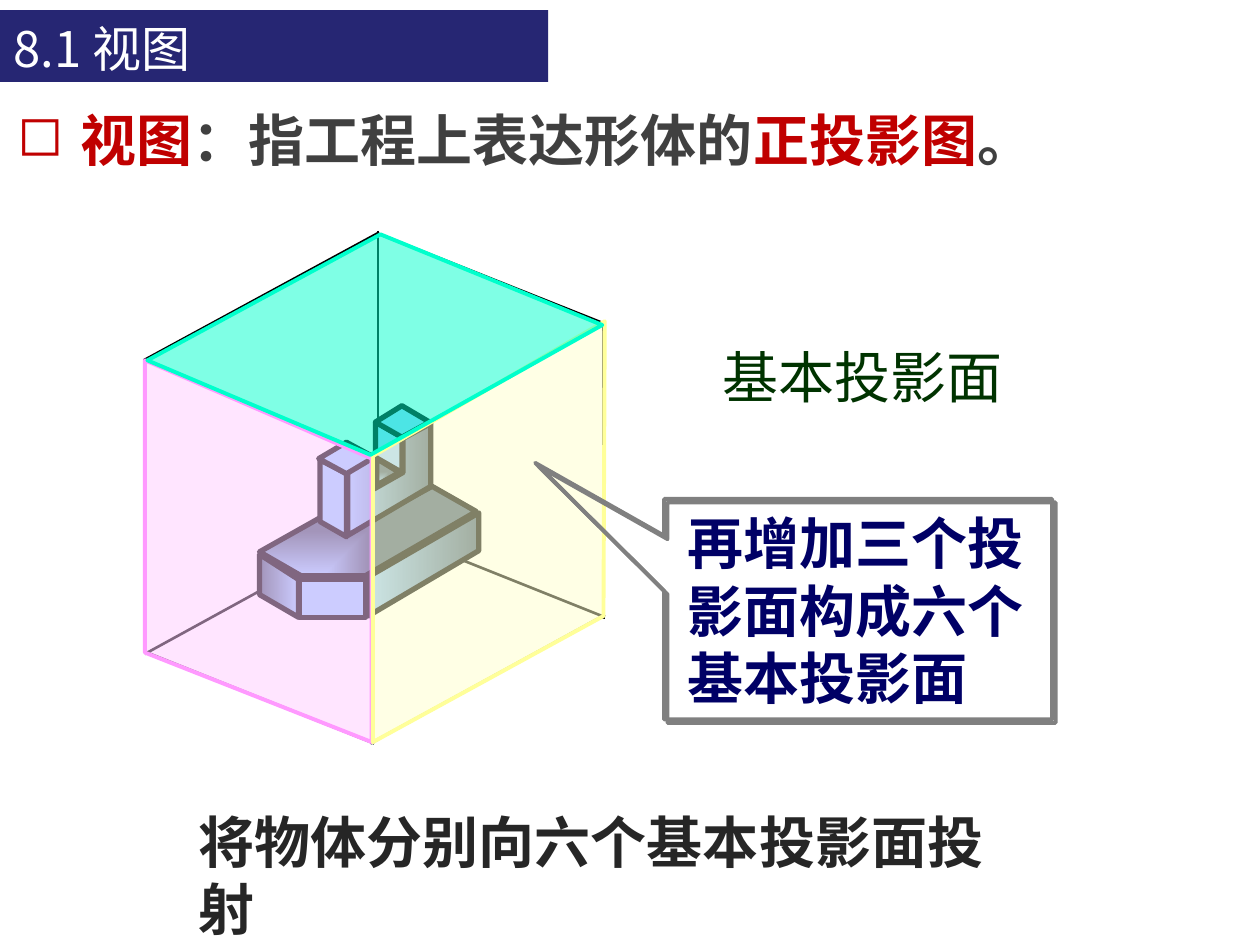
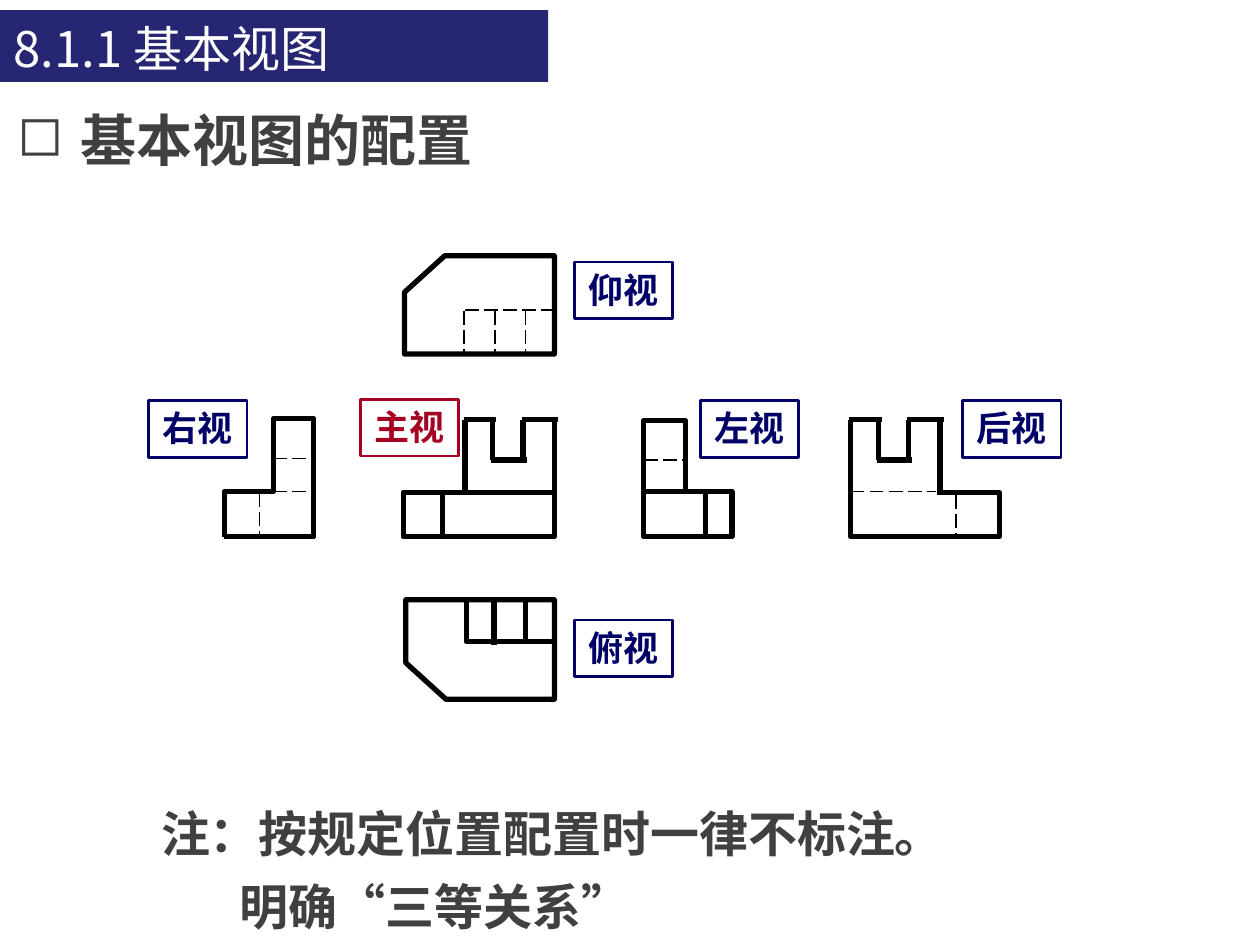
"""Builds two slides on the basic orthographic views of a solid."""
from lxml import etree
from pptx import Presentation
from pptx import util as u
from pptx.dml.color import RGBColor
from pptx.enum import dml, shapes, text
from pptx.oxml.ns import qn

FACE = "Noto Sans CJK SC"
NAVY, BAND, RED, GRAY = "000066", "262673", "C00000", "404040"
BLACK, WHITE, LIGHT, DARK = "000000", "FFFFFF", "99CCFF", "475E76"

HEADS = [
    ("8.1 视图", [("视图", RED), ("：指工程上表达形体的", GRAY),
                ("正投影图", RED), ("。", GRAY)]),
    ("8.1.1 基本视图", [("基本视图的配置", GRAY)]),
]

EDGES = [
    [(1.14, 2.86), (3, 1.85)], [(3, 1.83), (3, 4.18)],
    [(4.8, 2.57), (2.99, 1.85)], [(1.16, 5.2), (1.16, 2.84)],
    [(1.15, 5.19), (3.01, 4.17)], [(4.78, 4.89), (2.98, 4.17)],
    [(2.97, 5.9), (1.17, 5.18)], [(4.79, 2.56), (4.79, 4.91)],
    [(2.94, 5.9), (4.8, 4.88)],
]

SOLID = [
    ("corner", [(3.43, 3.86), (3.78, 4.06), (2.9, 4.57), (2.39, 4.57),
                (2.06, 4.38), (2.54, 4.11), (2.75, 4.23), (3.43, 3.86)]),
    ("right", [(3.8, 4.37), (3.8, 4.07), (2.92, 4.58), (2.92, 4.89),
               (3.8, 4.37)]),
    ("flat", (2.38, 4.6, 0.52, 0.3)),
    ("left", [(2.06, 4.4), (2.06, 4.72), (2.37, 4.9), (2.37, 4.6),
              (2.06, 4.4)]),
    ("right", [(3.42, 3.36), (3.42, 3.86), (2.76, 4.25), (2.76, 3.74),
               (2.97, 3.62), (2.97, 3.88), (3.2, 3.75), (3.2, 3.48),
               (3.42, 3.36)]),
    ("flat", [(2.98, 3.35), (3.19, 3.47), (3.19, 3.75), (2.98, 3.63),
              (2.98, 3.35)]),
    ("flat", [(2.75, 3.76), (2.75, 4.26), (2.54, 4.14), (2.54, 3.65),
              (2.75, 3.76)]),
    ("flat", [(2.53, 3.64), (2.75, 3.76), (2.97, 3.63), (2.75, 3.51),
              (2.53, 3.64)]),
    ("flat", [(2.98, 3.35), (3.19, 3.47), (3.41, 3.35), (3.19, 3.22),
              (2.98, 3.35)]),
    ("corner", [(2.99, 3.64), (3.17, 3.75), (2.99, 3.85), (2.99, 3.64)]),
]

PANES = [
    ("FFCCFF", "FF99FF", [(1.15, 2.86), (2.95, 3.64), (2.95, 5.89),
                          (1.15, 5.18), (1.15, 2.86)]),
    ("FFFFCC", "FFFF99", [(2.96, 3.62), (2.96, 5.89), (4.79, 4.89),
                          (4.8, 2.55), (2.96, 3.62)]),
    ("00FFCC", "00FFCC", [(3.02, 1.86), (1.17, 2.86), (2.94, 3.61),
                          (4.78, 2.58), (3.02, 1.86)]),
]


def notch(x):
    """Gives the seven strokes of the slotted upright whose left edge is x."""
    cuts = [(0, 3.92, 0, 3.33), (-0.01, 3.33, 0.25, 3.33),
            (0.22, 3.34, 0.22, 3.65), (0.21, 3.65, 0.49, 3.65),
            (0.46, 3.65, 0.46, 3.33), (0.45, 3.33, 0.74, 3.33),
            (0.71, 3.33, 0.71, 3.92)]
    return [[(x + a, b), (x + c, d)] for a, b, c, d in cuts]


VIEWS = [
    {"name": "俯视", "at": (4.56, 4.92), "dash": [], "full": [
        [(3.22, 4.76), (4.4, 4.76), (4.4, 5.55), (3.54, 5.55), (3.22, 5.26),
         (3.22, 4.76)],
        [(3.7, 4.77), (3.7, 5.09), (4.4, 5.09)],
        [(3.92, 4.78), (3.92, 5.12)], [(4.17, 4.77), (4.17, 5.09)]]},
    {"name": "右视", "at": (1.18, 3.18), "full": [
        [(1.78, 4.26), (1.78, 3.9), (2.17, 3.9), (2.17, 3.32), (2.49, 3.32),
         (2.49, 4.27)],
        [(1.78, 4.26), (2.5, 4.26)]],
     "dash": [[(2.17, 3.9), (2.49, 3.9)], [(2.17, 3.64), (2.49, 3.64)],
              [(2.06, 3.91), (2.06, 4.28)]]},
    {"name": "仰视", "at": (4.56, 2.08), "full": [
        [(3.21, 2.81), (4.4, 2.81), (4.4, 2.03), (3.53, 2.03), (3.21, 2.32),
         (3.21, 2.81)]],
     "dash": [[(x, 2.47), (x, 2.8)] for x in (3.93, 4.17, 3.68)]
     + [[(3.69, 2.46), (4.41, 2.46)]]},
    {"name": "左视", "at": (5.56, 3.18), "full": [
        (5.11, 3.9, 0.7, 0.36),
        [(5.11, 3.89), (5.11, 3.34), (5.44, 3.34), (5.44, 3.91)],
        [(5.6, 3.9), (5.6, 4.26)]],
     "dash": [[(5.11, 3.65), (5.46, 3.65)]]},
    {"name": "主视", "at": (2.86, 3.17), "hue": "A50021", "dash": [], "full": [
        (3.2, 3.91, 1.2, 0.35), [(3.51, 3.9), (3.51, 4.25)]] + notch(3.69)},
    {"name": "后视", "at": (7.64, 3.18), "full": [
        [(6.75, 3.91), (6.75, 4.26), (7.93, 4.26), (7.93, 3.91),
         (7.44, 3.91)]] + notch(6.75),
     "dash": [[(7.59, 3.93), (7.59, 4.28)], [(6.75, 3.9), (7.43, 3.9)]]},
]


def rgb(hue):
    """Turns a hex string into a colour."""
    return RGBColor.from_string(hue)


def box(at):
    """Turns inches into lengths."""
    return [u.Inches(v) for v in at]


def node(root, tag, **keys):
    """Appends one drawing element."""
    return etree.SubElement(root, qn(tag), {k: str(v) for k, v in keys.items()})


def paint(shape, fill, alpha=None):
    """Fills a shape: none, plain, see-through or shaded."""
    if fill is None:
        shape.fill.background()
    elif fill in ("left", "right", "corner"):
        shape.fill.gradient()
        hues = (DARK, LIGHT) if fill == "left" else (LIGHT, DARK)
        for stop, hue in zip(shape.fill.gradient_stops, hues):
            stop.color.rgb = rgb(hue)
        shape.fill.gradient_angle = 0
        if fill == "corner":
            grad = shape._element.spPr.find(qn("a:gradFill"))
            grad.remove(grad.find(qn("a:lin")))
            node(node(grad, "a:path", path="rect"), "a:fillToRect",
                 l=0, t=100000, r=100000, b=0)
    else:
        shape.fill.solid()
        shape.fill.fore_color.rgb = rgb(LIGHT if fill == "flat" else fill)
        if alpha:
            tint = shape._element.spPr.find(qn("a:solidFill"))[0]
            node(tint, "a:alpha", val=alpha * 1000)


def draw(tree, path, width, hue=BLACK, fill=None, alpha=None, dash=False):
    """Draws a rectangle, a straight line or an outline."""
    if isinstance(path, tuple):
        item = tree.add_shape(shapes.MSO_SHAPE.RECTANGLE, *box(path))
    elif len(path) == 2:
        item = tree.add_connector(shapes.MSO_CONNECTOR.STRAIGHT,
                                  *box(path[0] + path[1]))
    else:
        pts = [(x * 100, y * 100) for x, y in path]
        shut = path[0] == path[-1]
        pen = tree.build_freeform(*pts[0], scale=u.Inches(0.01))
        pen.add_line_segments(pts[1:-1] if shut else pts[1:], close=shut)
        item = pen.convert_to_shape()
    item.line.color.rgb = rgb(hue)
    item.line.width = u.Pt(width)
    if dash:
        item.line.dash_style = dml.MSO_LINE.LONG_DASH
    if isinstance(path, list) and len(path) == 2:
        node(item._element.spPr, "a:effectLst")
    else:
        item.shadow.inherit = False
        paint(item, fill, alpha)
    return item


def write(frame, lines, size, bold=True, wrap=True, grow=False, align=None,
          anchor=text.MSO_ANCHOR.TOP):
    """Sets lines of (words, hue) spans in a frame."""
    frame.word_wrap = wrap
    frame.vertical_anchor = anchor
    if grow:
        frame.auto_size = text.MSO_AUTO_SIZE.SHAPE_TO_FIT_TEXT
    for i, spans in enumerate(lines):
        para = frame.add_paragraph() if i else frame.paragraphs[0]
        para.alignment = align
        para.font.name, para.font.size = FACE, u.Pt(size)
        para.font.bold = bold
        para.font.color.rgb = rgb(spans[0][1])
        node(para._p.pPr.find(qn("a:defRPr")), "a:ea", typeface=FACE)
        for words, hue in spans:
            run = para.add_run()
            run.text = words
            if len(spans) > 1:
                run.font.color.rgb = rgb(hue)
    return frame.paragraphs


def label(slide, at, lines, size, **keys):
    """Adds a text box."""
    return write(slide.shapes.add_textbox(*box(at)).text_frame, lines, size,
                 **keys)


def start(deck, title, lead):
    """Adds a slide with its title band and bulleted lead."""
    slide = deck.slides.add_slide(deck.slide_layouts[6])
    band = draw(slide.shapes, (0, 0.08, 4.35, 0.57), 1, fill=BAND)
    band.line.fill.background()
    label(slide, (0.01, 0.08, 4.33, 0.58), [[(title, WHITE)]], 28, bold=False,
          anchor=text.MSO_ANCHOR.BOTTOM)
    para = label(slide, (0.04, 0.79, 9.5, 0.67), [lead], 32)[0]
    para.space_before = u.Pt(6.4)
    props = para._p.pPr
    props.set("marL", str(u.Inches(0.5)))
    props.set("indent", str(u.Inches(-0.5)))
    props.find(qn("a:defRPr")).addprevious(node(props, "a:buChar", char="◻"))
    return slide


def cube(slide):
    """Draws the solid inside its glass box, with the callout."""
    tree = slide.shapes
    frame = tree.add_group_shape().shapes
    for edge in EDGES:
        draw(frame, edge, 1.5)
    body = tree.add_group_shape().shapes
    for fill, path in SOLID:
        draw(body, path, 3, fill=fill)
    for fill, hue, path in PANES:
        draw(tree, path, 2.25, hue, fill, 50)
    call = tree.add_shape(shapes.MSO_SHAPE.RECTANGULAR_CALLOUT,
                          *box((5.27, 3.96, 3.08, 1.75)))
    call.adjustments[0], call.adjustments[1] = -0.832, -0.664
    call.fill.background()
    call.line.color.rgb, call.line.width = rgb("808080"), u.Pt(2.25)
    call.shadow.inherit = False
    glow = node(call._element.spPr.find(qn("a:effectLst")), "a:outerShdw",
                dist=u.Pt(2.8), dir=2700000, algn="ctr", rotWithShape=0)
    node(glow, "a:srgbClr", val="808080")
    label(slide, (5.36, 3.99, 3.02, 1.72),
          [[("再增加三个投影面构成六个基本投影面", NAVY)]], 32, grow=True)
    label(slide, (1.48, 6.36, 6.87, 0.64),
          [[("将物体分别向六个基本投影面投射", "262626")]], 32, grow=True)
    label(slide, (5.51, 2.67, 2.67, 0.53), [[("基本投影面", "003300")]], 32,
          bold=False, wrap=False, align=text.PP_ALIGN.CENTER)


def views(slide):
    """Draws the six views, their names and the note."""
    note = label(slide, (1.18, 6.21, 7.24, 1.23),
                 [[("注：按规定位置配置时一律不标注。", GRAY)],
                  [("明确“三等关系”", GRAY)]], 28, grow=True)
    for para in note:
        para.line_spacing = 1.25
    note[1]._p.pPr.set("marL", str(u.Inches(0.62)))
    for view in VIEWS:
        group = slide.shapes.add_group_shape().shapes
        for path in view["full"]:
            draw(group, path, 3)
        for path in view["dash"]:
            draw(group, path, 1, dash=True)
    for view in VIEWS:
        hue = view.get("hue", NAVY)
        tag = draw(slide.shapes, view["at"] + (0.78, 0.45), 1.5, hue)
        write(tag.text_frame, [[(view["name"], hue)]], 20, wrap=False,
              grow=True, align=text.PP_ALIGN.CENTER)


def main():
    """Builds and saves the deck."""
    deck = Presentation()
    deck.slide_width, deck.slide_height = u.Inches(10), u.Inches(7.5)
    for head, fill in zip(HEADS, (cube, views)):
        fill(start(deck, *head))
    deck.save("out.pptx")


if __name__ == "__main__":
    main()
